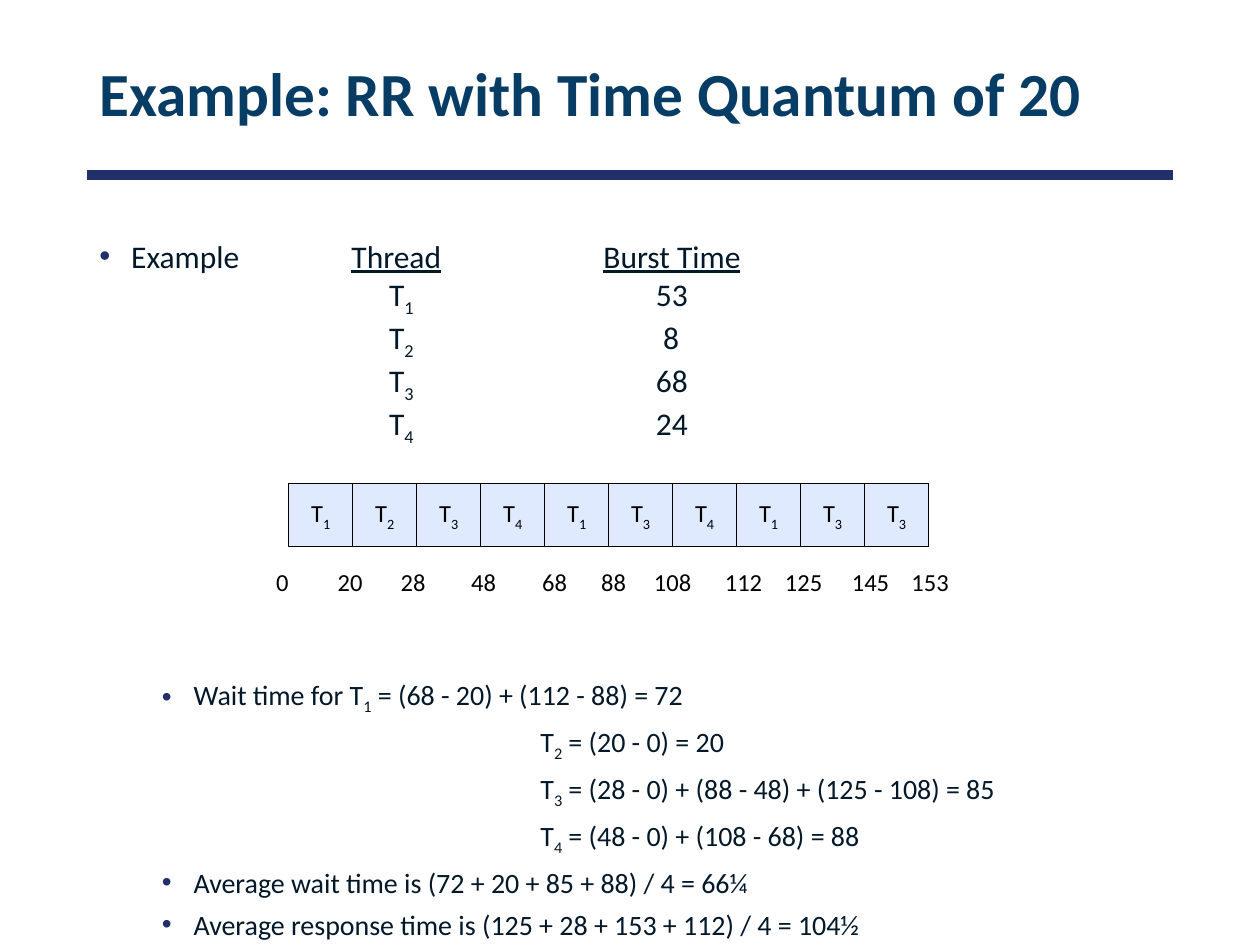
from lxml.etree import SubElement as Sub
from pptx import Presentation
from pptx.dml.color import RGBColor as RGB
from pptx.enum.shapes import MSO_CONNECTOR as LINK, MSO_SHAPE as SHAPE
from pptx.enum.text import MSO_ANCHOR as ANCHOR, MSO_AUTO_SIZE as FIT, PP_ALIGN as ALIGN
from pptx.oxml.ns import qn
from pptx.util import Cm, Pt

NAVY = RGB(0x21, 0x30, 0x6A)
TEAL = RGB(0x07, 0x3C, 0x65)
INK = RGB(0x03, 0x18, 0x28)
PALE = RGB(0xDF, 0xE9, 0xFF)
BLACK = RGB(0, 0, 0)

HEADS = [("Example\t", False), ("Thread", True), ("\t", False), ("Burst Time", True)]
STOPS = (5.08, 5.84, 10.16, 11.22)
BURSTS = [("T_1_", "53"), ("T_2_", " 8"), ("T_3_", "68"), ("T_4_", "24")]
WAITS = [
    "T_2_ = (20 - 0) = 20",
    "T_3_ = (28 - 0) + (88 - 48) + (125 - 108) = 85",
    "T_4_ = (48 - 0) + (108 - 68) = 88",
]
MEANS = [
    "Average wait time is (72 + 20 + 85 + 88) / 4 = 66¼",
    "Average response time is (125 + 28 + 153 + 112) / 4 = 104½",
]
TURNS = [1, 2, 3, 4, 1, 3, 4, 1, 3, 3]
TICKS = [
    (0, 5.69), (20, 7.06), (28, 8.33), (48, 9.75), (68, 11.18), (88, 12.37),
    (108, 13.56), (112, 14.99), (125, 16.2), (145, 17.55), (153, 18.75),
]


def put(par, text, size=14, color=BLACK, bold=False, under=False):
    """Add text to a paragraph, with subscripts between underscores."""
    for i, part in enumerate(text.split("_")):
        if not part:
            continue
        run = par.add_run()
        run.text = part
        font = run.font
        font.name, font.size, font.bold, font.underline = "Calibri", Pt(size), bold, under
        font.color.rgb = color
        if i % 2:
            run._r.get_or_add_rPr().set("baseline", "-25000")


def add_break(par, size):
    """Start a new line of the given text size in a paragraph."""
    par.add_line_break()
    Sub(par._p[-1], qn("a:rPr"), sz=str(size * 100))


def add_par(frame, left=0, hang=0, gap=0, level=0, tabs=()):
    """Start a paragraph, bulleted if it hangs, with its tab stops."""
    par = frame.paragraphs[0]
    if par.runs:
        par = frame.add_paragraph()
    par.level, par.alignment = level, ALIGN.LEFT
    par.space_before = Pt(gap)
    props = par._p.get_or_add_pPr()
    props.set("marL", str(Cm(left)))
    props.set("indent", str(-Cm(hang)))
    if hang:
        Sub(Sub(props, qn("a:buClr")), qn("a:srgbClr"), val=str(NAVY))
        Sub(props, qn("a:buFont"), typeface="Arial")
        Sub(props, qn("a:buChar"), char="•")
    else:
        Sub(props, qn("a:buNone"))
    if tabs:
        stops = Sub(props, qn("a:tabLst"))
        for pos in tabs:
            Sub(stops, qn("a:tab"), pos=str(Cm(pos)), algn="l")
    return par


def place(shape, left, top, width, height):
    """Move and size a shape."""
    shape.left, shape.top = Cm(left), Cm(top)
    shape.width, shape.height = Cm(width), Cm(height)


def add_title(slide):
    """Fill the title and draw the rule below it."""
    title = slide.shapes.title
    place(title, 1.75, 0.58, 21.9, 2.74)
    frame = title.text_frame
    frame.auto_size, frame.vertical_anchor = FIT.NONE, ANCHOR.MIDDLE
    par = frame.paragraphs[0]
    par.alignment, par.line_spacing = ALIGN.LEFT, 0.9
    put(par, "Example: RR with Time Quantum of 20", size=35, color=TEAL, bold=True)
    rule = slide.shapes.add_connector(LINK.STRAIGHT, Cm(1.75), Cm(3.53), Cm(23.65), Cm(3.53))
    rule.line.color.rgb, rule.line.width = NAVY, Pt(6)
    Sub(rule._element.spPr, qn("a:effectLst"))


def add_body(slide):
    """Fill the body with the burst times and the results."""
    body = slide.placeholders[1]
    place(body, 1.75, 4.65, 21.9, 13.79)
    frame = body.text_frame
    frame.auto_size, frame.vertical_anchor = FIT.NONE, ANCHOR.TOP
    head = add_par(frame, left=0.64, hang=0.64, tabs=STOPS)
    for text, under in HEADS:
        put(head, text, size=18, color=INK, under=under)
    for name, burst in BURSTS:
        add_break(head, 18)
        put(head, f"\t\t{name}\t\t{burst}", size=18, color=INK)
    first = add_par(frame, left=1.9, hang=0.64, gap=132, level=1)
    put(first, "Wait time for T_1_ = (68 - 20) + (112 - 88) = 72", size=16, color=INK)
    for text in WAITS:
        put(add_par(frame, left=8.89, gap=5, level=1), text, size=16, color=INK)
    for text in MEANS:
        put(add_par(frame, left=1.9, hang=0.64, gap=5, level=1), text, size=16, color=INK)


def add_mid(shape, text):
    """Centre one unwrapped line in a shape."""
    frame = shape.text_frame
    frame.word_wrap, frame.vertical_anchor = False, ANCHOR.MIDDLE
    par = frame.paragraphs[0]
    par.alignment = ALIGN.CENTER
    put(par, text)


def add_chart(slide):
    """Draw the row of turns and the times below it."""
    step = 1.29
    for i, turn in enumerate(TURNS):
        box = slide.shapes.add_shape(
            SHAPE.RECTANGLE, Cm(5.82 + i * step), Cm(9.75), Cm(step), Cm(1.27))
        box.shadow.inherit = False
        box.fill.solid()
        box.fill.fore_color.rgb = PALE
        box.line.color.rgb, box.line.width = BLACK, Pt(0.75)
        add_mid(box, f"T_{turn}_")
    for time, mid in TICKS:
        width = 0.51 + 0.25 * len(str(time))
        label = slide.shapes.add_textbox(Cm(mid - width / 2), Cm(11.3), Cm(width), Cm(0.86))
        add_mid(label, str(time))


def main():
    """Build the slide and save it."""
    deck = Presentation()
    deck.slide_width, deck.slide_height = Cm(25.4), Cm(19.05)
    slide = deck.slides.add_slide(deck.slide_layouts[1])
    add_title(slide)
    add_body(slide)
    add_chart(slide)
    deck.save("out.pptx")


if __name__ == "__main__":
    main()
